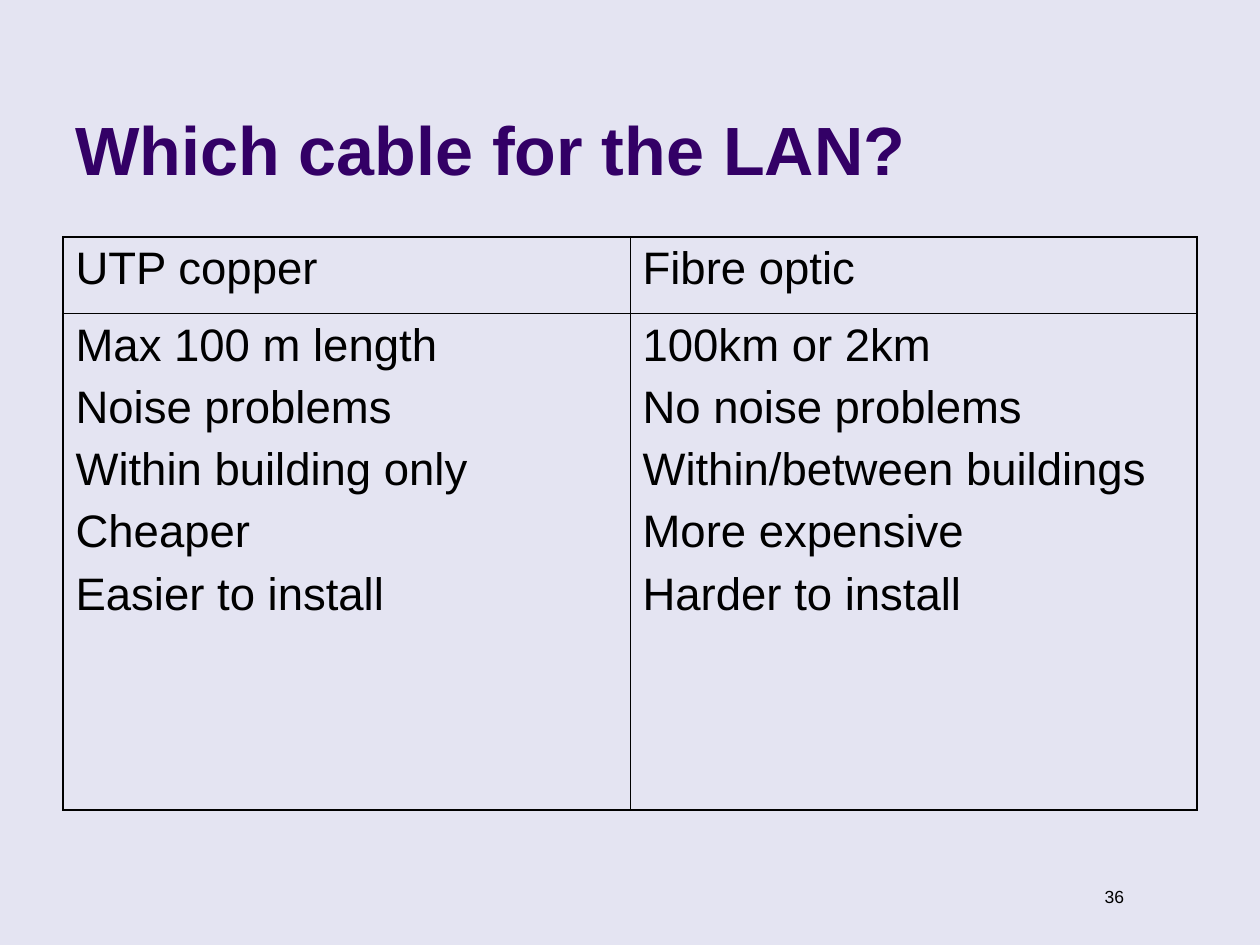
from lxml import etree
from pptx import Presentation
from pptx import util as u
from pptx.dml import color
from pptx.enum import text
from pptx.oxml import ns

HUES = {"back": "E4E4F2", "title": "330066", "ink": "000000"}
THICK, THIN = 1.08, 0.45
ROWS = [
    (["UTP copper"], ["Fibre optic"]),
    (
        ["Max 100 m length", "Noise problems", "Within building only",
         "Cheaper", "Easier to install"],
        ["100km or 2km", "No noise problems", "Within/between buildings",
         "More expensive", "Harder to install"],
    ),
]


def hue(name):
    return color.RGBColor.from_string(HUES[name])


def add_run(para, words, size, name, bold=False):
    run = para.add_run()
    run.text = words
    font = run.font
    font.name, font.size, font.bold = "Arial", u.Pt(size), bold
    font.color.rgb = hue(name)


def add_label(slide, box, words, size, name, bold=False,
              align=text.PP_ALIGN.LEFT, anchor=text.MSO_ANCHOR.TOP):
    frame = slide.shapes.add_textbox(*map(u.Inches, box)).text_frame
    frame.word_wrap = True
    frame.vertical_anchor = anchor
    para = frame.paragraphs[0]
    para.alignment = align
    add_run(para, words, size, name, bold)


def add_border(cell, side, width):
    props = cell._tc.get_or_add_tcPr()
    line = etree.SubElement(props, ns.qn(f"a:ln{side}"), w=str(u.Pt(width)))
    fill = etree.SubElement(line, ns.qn("a:solidFill"))
    etree.SubElement(fill, ns.qn("a:srgbClr"), val=HUES["ink"])


def fill_cell(cell, lines, edges):
    for side, outer in edges.items():
        add_border(cell, side, THICK if outer else THIN)
    cell.fill.background()
    cell.margin_left = cell.margin_right = u.Inches(0.1)
    cell.margin_top = cell.margin_bottom = u.Inches(0.05)
    frame = cell.text_frame
    for i, words in enumerate(lines):
        para = frame.add_paragraph() if i else frame.paragraphs[0]
        if i:
            para.space_before = u.Pt(6.5)
        add_run(para, words, 26, "ink")


def add_grid(slide, box, rows, head):
    left, top, width, height = box
    count, span = len(rows), len(rows[0])
    table = slide.shapes.add_table(count, span, *map(u.Inches, box)).table
    table.first_row = table.horz_banding = False
    for col in table.columns:
        col.width = u.Inches(width / span)
    for r, row in enumerate(rows):
        tall = (height - head) / (count - 1) if r else head
        table.rows[r].height = u.Inches(tall)
        for c, lines in enumerate(row):
            edges = {"L": c == 0, "R": c == span - 1,
                     "T": r == 0, "B": r == count - 1}
            fill_cell(table.cell(r, c), lines, edges)


def main():
    deck = Presentation()
    deck.slide_width, deck.slide_height = u.Inches(10), u.Inches(7.5)
    slide = deck.slides.add_slide(deck.slide_layouts[6])
    back = slide.background.fill
    back.solid()
    back.fore_color.rgb = hue("back")
    add_label(slide, (8.39, 6.98, 0.63, 0.27), "36", 10, "ink",
              align=text.PP_ALIGN.RIGHT)
    add_label(slide, (0.5, 0.13, 8.25, 1.42), "Which cable for the LAN?",
              39, "title", bold=True, anchor=text.MSO_ANCHOR.BOTTOM)
    add_grid(slide, (0.5, 1.88, 9, 4.55), ROWS, head=0.61)
    deck.save("out.pptx")


if __name__ == "__main__":
    main()
